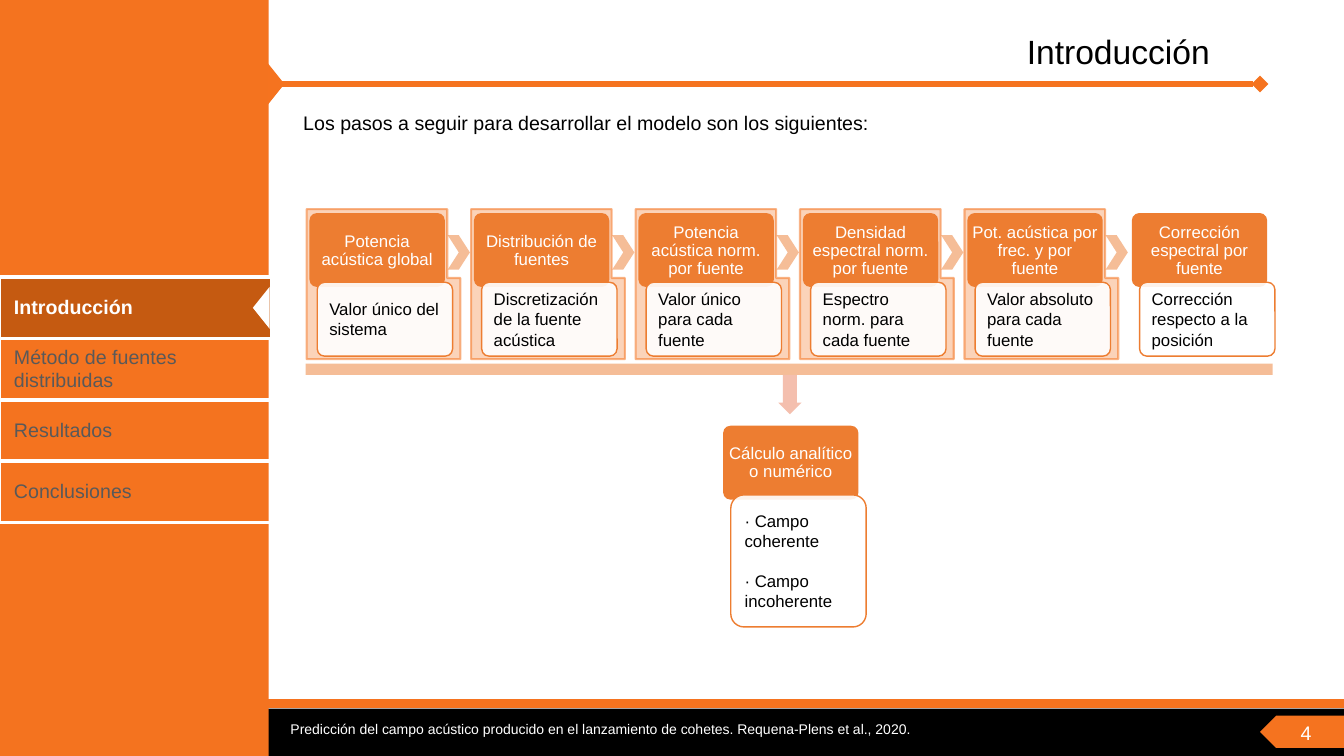
import lxml.etree
import pptx
import pptx.dml.color
import pptx.enum.shapes
import pptx.enum.text
import pptx.oxml.ns
import pptx.util

MSO = pptx.enum.shapes.MSO_SHAPE
ALIGN = pptx.enum.text.PP_ALIGN
ANCHOR = pptx.enum.text.MSO_ANCHOR
Pt = pptx.util.Pt
qn = pptx.oxml.ns.qn


class Theme:
    font = "Arial"
    orange, sidebar, active = "F5731F", "F4731F", "C55A11"
    step, arrow = "ED7D31", "F4BFAE"
    white, black, grey = "FFFFFF", "000000", "595959"
    title, body, small, footer = 24, 14, 12, 10


class Deck:
    """Draw styled elements on one slide, measured on a grid of 160 columns by 90 rows."""

    def __init__(self, prs, theme):
        self.theme = theme
        self.col, self.row = prs.slide_width / 160, prs.slide_height / 90
        self.s = prs.slides.add_slide(prs.slide_layouts[6])

    def box(self, x, y, w, h):
        return [round(v * u) for v, u in zip((x, y, w, h), (self.col, self.row) * 2)]

    def apply(self, obj, values):
        for name, value in values.items():
            setattr(obj, name, value)

    def paint(self, fmt, color, alpha=100):
        fmt.solid()
        fmt.fore_color.rgb = pptx.dml.color.RGBColor.from_string(color)
        if alpha < 100:
            clr = fmt._xPr.find(qn("a:solidFill"))[0]
            lxml.etree.SubElement(clr, qn("a:alpha"), val=str(alpha * 1000))

    def finish(self, sp, fill, alpha=100, line=None, width=1, line_alpha=100):
        sp.shadow.inherit = False
        self.paint(sp.fill, fill, alpha)
        if line:
            sp.line.width = Pt(width)
            self.paint(sp.line.fill, line, line_alpha)
        else:
            sp.line.fill.background()
        return sp

    def shape(self, kind, at, fill, rotation=0, adj=(), **look):
        sp = self.s.shapes.add_shape(kind, *self.box(*at))
        sp.rotation = rotation
        for i, value in enumerate(adj):
            sp.adjustments[i] = value
        return self.finish(sp, fill, **look)

    def outline(self, x, y, points, fill, **look):
        pts = [self.box(x + dx, y + dy, 0, 0)[:2] for dx, dy in points]
        fb = self.s.shapes.build_freeform(*pts[0])
        fb.add_line_segments(pts[1:], close=True)
        return self.finish(fb.convert_to_shape(), fill, **look)

    def line(self, x1, x2, y, color, width, alpha=100, tail=None):
        a, b = self.box(x1, y, 0, 0)[:2], self.box(x2, y, 0, 0)[:2]
        ln = self.s.shapes.add_connector(pptx.enum.shapes.MSO_CONNECTOR.STRAIGHT, *a, *b)
        ln.line.width = Pt(width)
        self.paint(ln.line.fill, color, alpha)
        if tail:
            lxml.etree.SubElement(ln.line._get_or_add_ln(), qn("a:tailEnd"), type=tail)
        lxml.etree.SubElement(ln._element.spPr, qn("a:effectLst"))

    def fill_text(self, tf, lines, size, color, bold=False, frame=None, para=None, gap=0):
        self.apply(tf, {"word_wrap": True, **(frame or {})})
        for i, line in enumerate(lines):
            p = tf.add_paragraph() if i else tf.paragraphs[0]
            self.apply(p, {"alignment": ALIGN.LEFT, **(para or {})})
            if i:
                p.space_before = Pt(gap)
            r = p.add_run()
            r.text = line
            self.apply(r.font, {"name": self.theme.font, "size": Pt(size), "bold": bold})
            r.font.color.rgb = pptx.dml.color.RGBColor.from_string(color)

    def text(self, at, line, size, color, **style):
        sp = self.s.shapes.add_textbox(*self.box(*at))
        self.fill_text(sp.text_frame, [line], size, color, **style)

    def menu(self, at, items, current):
        t = self.theme
        tbl = self.s.shapes.add_table(len(items), 1, *self.box(*at)).table
        self.apply(tbl, {"first_row": False, "horz_banding": False})
        for i, item in enumerate(items):
            cell, chosen = tbl.cell(i, 0), item == current
            self.apply(cell, {"vertical_anchor": ANCHOR.MIDDLE, "margin_left": Pt(10),
                              "margin_right": Pt(16)})
            self.fill_text(cell.text_frame, [item], t.body, t.white if chosen else t.grey, chosen)
            if chosen:
                self.paint(cell.fill, t.active)
            else:
                cell.fill.background()
            for k, side in enumerate(("a:lnT", "a:lnB")):
                ln = lxml.etree.Element(qn(side), w=str(int(Pt(3))))
                fill = lxml.etree.SubElement(ln, qn("a:solidFill"))
                lxml.etree.SubElement(fill, qn("a:srgbClr"), val=t.white)
                cell._tc.get_or_add_tcPr().insert(k, ln)

    def card(self, x, y, head, details, height=8.8):
        t = self.theme
        sp = self.shape(MSO.ROUNDED_RECTANGLE, (x, y, 16.12, 8.8), t.step, adj=[0.1])
        tight = {"margin_left": Pt(2), "margin_right": Pt(2), "margin_top": Pt(2),
                 "margin_bottom": Pt(1), "vertical_anchor": ANCHOR.MIDDLE}
        self.fill_text(sp.text_frame, [head], t.small, t.white, frame=tight,
                       para={"alignment": ALIGN.CENTER, "line_spacing": 0.9})
        sp = self.shape(MSO.ROUNDED_RECTANGLE, (x + 0.92, y + 8.24, 16.12, height), t.white,
                        adj=[0.1], alpha=90, line=t.step)
        self.fill_text(sp.text_frame, details, t.small, t.black,
                       frame={"vertical_anchor": ANCHOR.MIDDLE}, gap=14)


STEPS = [
    ("Potencia acústica global", "Valor único del sistema"),
    ("Distribución de fuentes", "Discretización de la fuente acústica"),
    ("Potencia acústica norm. por fuente", "Valor único para cada fuente"),
    ("Densidad espectral norm. por fuente", "Espectro norm. para cada fuente"),
    ("Pot. acústica por frec. y por fuente", "Valor absoluto para cada fuente"),
    ("Corrección espectral por fuente", "Corrección respecto a la posición"),
]
FRAME = [(0, 0), (16.74, 0), (16.74, 8.2), (18.3, 8.2), (18.3, 17.86), (0, 17.86)]
SECTIONS = ["Introducción", "Método de fuentes distribuidas", "Resultados", "Conclusiones"]


def main():
    prs = pptx.Presentation()
    prs.slide_width, prs.slide_height = pptx.util.Inches(13.33), pptx.util.Inches(7.5)
    t = Theme
    d = Deck(prs, t)
    middle = {"vertical_anchor": ANCHOR.MIDDLE}

    d.shape(MSO.RECTANGLE, (30, 84.36, 130, 5.64), t.black)
    d.line(30, 160, 83.76, t.orange, 6)
    d.shape(MSO.RECTANGLE, (0, 0, 32, 90), t.sidebar)
    d.menu((0, 33, 32.16, 29.2), SECTIONS, SECTIONS[0])
    d.line(32, 150, 10, t.orange, 4, tail="diamond")
    d.shape(MSO.PENTAGON, (150, 85.2, 10, 3.84), t.orange, rotation=180)
    d.text((152, 85.3, 7, 3.84), "4", t.body, t.white, frame=middle,
           para={"alignment": ALIGN.CENTER})
    d.shape(MSO.ISOSCELES_TRIANGLE, (30.36, 9, 5, 2), t.orange, rotation=90)
    d.shape(MSO.ISOSCELES_TRIANGLE, (28.6, 35.64, 5, 2), t.white, rotation=270)
    d.text((34.92, 3.36, 110.28, 6.12), SECTIONS[0], t.title, t.black, frame=middle,
           para={"alignment": ALIGN.RIGHT, "line_spacing": 0.9})
    d.text((34.92, 12.96, 119, 4), "Los pasos a seguir para desarrollar el modelo son los siguientes:",
           t.body, t.black, para={"line_spacing": 0.9})
    d.text((33.4, 85.2, 115.5, 3.24),
           "Predicción del campo acústico producido en el lanzamiento de cohetes. "
           "Requena-Plens et al., 2020.", t.footer, t.white)

    for i, (head, detail) in enumerate(STEPS):
        x = 36.5 + 19.58 * i
        last = i == len(STEPS) - 1
        if not last:
            d.outline(x, 24.9, FRAME, t.orange, alpha=31, line=t.orange, width=1.5, line_alpha=52)
        d.card(x + 0.34, 25.36, head, [detail])
        if not last:
            d.shape(MSO.CHEVRON, (x + 16.8, 28, 2.64, 4.1), t.step, alpha=50)

    d.line(36.4, 151.5, 43.96, t.step, 8, alpha=50)
    d.shape(MSO.RIGHT_ARROW, (91.7, 45.6, 4.68, 2.76), t.arrow, rotation=90, adj=[0.6, 0.5])
    d.card(86.08, 50.68, "Cálculo analítico o numérico",
           ["· Campo coherente", "· Campo incoherente"], height=15.72)
    prs.save("out.pptx")


if __name__ == "__main__":
    main()
